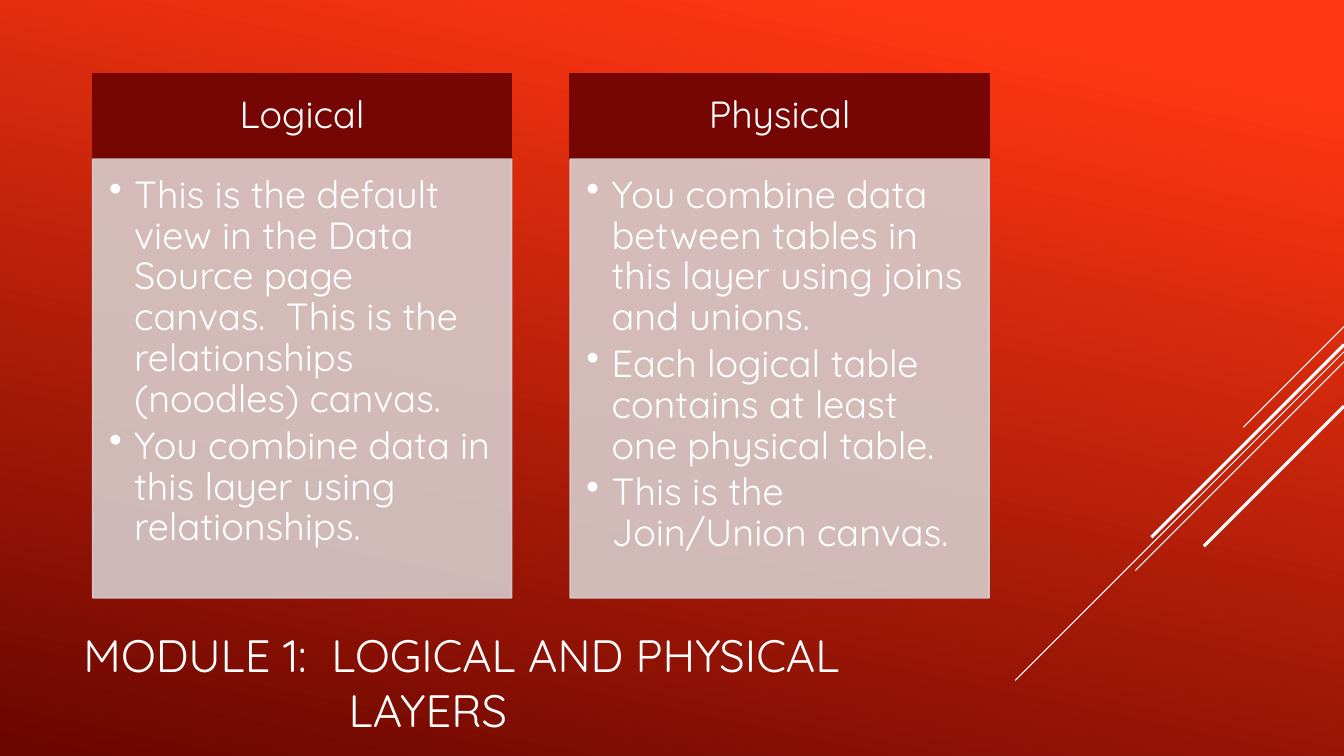
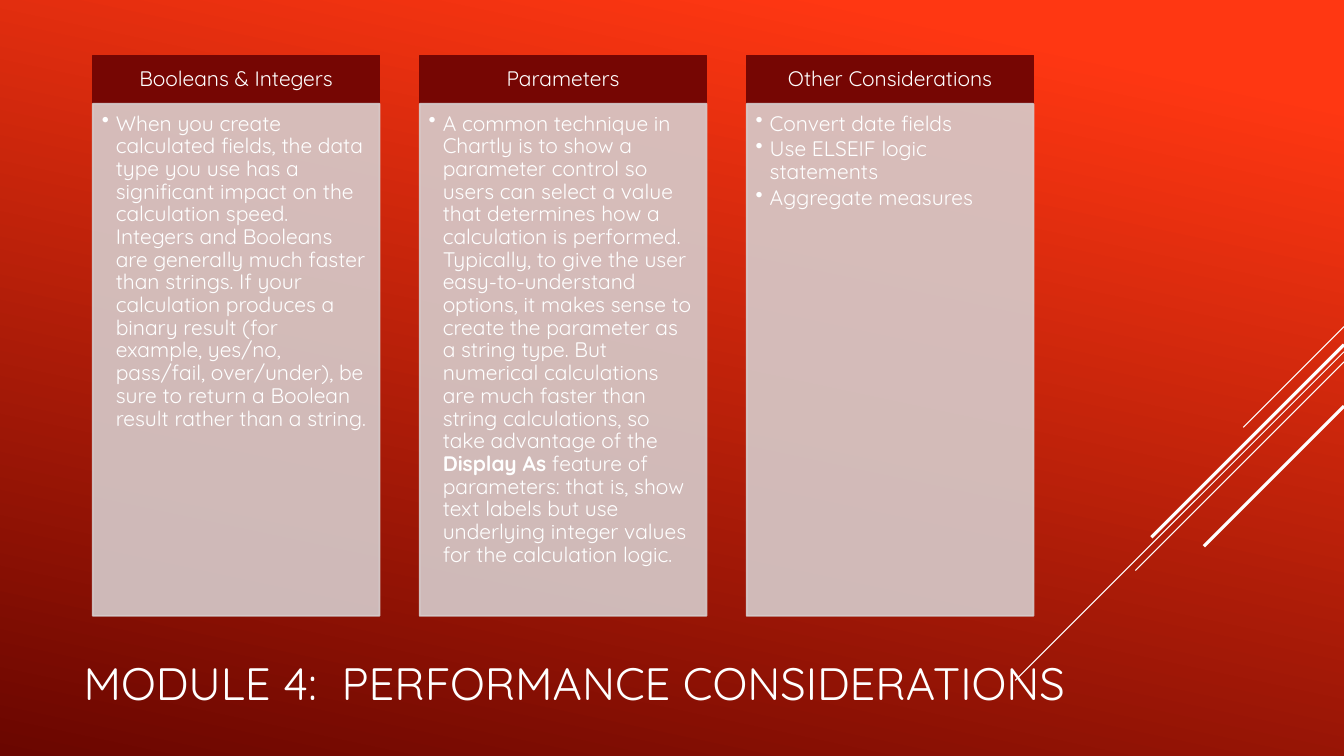
from pptx import Presentation
from pptx.dml.color import RGBColor
from pptx.enum.shapes import MSO_CONNECTOR, MSO_SHAPE
from pptx.enum.text import MSO_ANCHOR as ANCHOR, PP_ALIGN as ALIGN
from pptx.oxml.ns import qn
from pptx.util import Inches, Pt
from lxml.etree import SubElement

FONT = "Quicksand"
WHITE = RGBColor(0xFF, 0xFF, 0xFF)
BRIGHT = RGBColor(0xFF, 0x37, 0x12)
DEEP = RGBColor(0x6A, 0x06, 0x00)
MAROON = RGBColor(0x76, 0x06, 0x03)
PALE = RGBColor(0xD6, 0xCC, 0xCC)

SLIDE_W, SLIDE_H = 13.33, 7.5
LEFT = 0.92
GAP_RATIO = 0.14
STREAKS = [(3.24, 1.0, 0.75), (3.49, 3.26, 0.75), (3.59, 2.07, 0.75),
           (3.42, 1.91, 2.25), (4.03, 1.39, 2.25)]

SLIDES = [
    dict(
        title="MODULE 1:  LOGICAL AND PHYSICAL LAYERS", title_w=9.33,
        box=(LEFT, 0.73, 8.89, 5.2), head_h=0.85, size=27,
        columns=[
            ("Logical", [
                "This is the default view in the Data Source page canvas.  "
                "This is the relationships (noodles) canvas.",
                "You combine data in this layer using relationships."]),
            ("Physical", [
                "You combine data between tables in this layer using joins and unions.",
                "Each logical table contains at least one physical table.",
                "This is the Join/Union canvas."]),
        ]),
    dict(
        title="MODULE 4:  PERFORMANCE CONSIDERATIONS", title_w=10.21,
        box=(LEFT, 0.55, 9.33, 5.56), head_h=0.48, size=15,
        columns=[
            ("Booleans & Integers", [
                "When you create calculated fields, the data type you use has a "
                "significant impact on the calculation speed. Integers and Booleans "
                "are generally much faster than strings. If your calculation produces "
                "a binary result (for example, yes/no, pass/fail, over/under), be sure "
                "to return a Boolean result rather than a string."]),
            ("Parameters", [
                "A common technique in Chartly is to show a parameter control so users "
                "can select a value that determines how a calculation is performed. "
                "Typically, to give the user easy-to-understand options, it makes sense "
                "to create the parameter as a string type. But numerical calculations "
                "are much faster than string calculations, so take advantage of the "
                "**Display As** feature of parameters: that is, show text labels but "
                "use underlying integer values for the calculation logic."]),
            ("Other Considerations", [
                "Convert date fields",
                "Use ELSEIF logic statements",
                "Aggregate measures"]),
        ]),
]


def write(sp, paragraphs, size, align=ALIGN.LEFT, anchor=ANCHOR.TOP, insets=None,
          hang=0, bullet=False, line_spacing=None, space_after=0):
    tf = sp.text_frame
    tf.word_wrap = True
    tf.vertical_anchor = anchor
    if insets:
        (tf.margin_left, tf.margin_top,
         tf.margin_right, tf.margin_bottom) = [Inches(v) for v in insets]
    for i, text in enumerate(paragraphs):
        p = tf.add_paragraph() if i else tf.paragraphs[0]
        pPr = p._p.get_or_add_pPr()
        if hang:
            pPr.set("marL", str(Inches(hang)))
            pPr.set("indent", str(-Inches(hang)))
        if bullet:
            SubElement(pPr, qn("a:buChar")).set("char", "•")
        p.alignment = align
        p.line_spacing = line_spacing
        p.space_after = Pt(space_after)
        for n, part in enumerate(text.split("**")):
            r = p.add_run()
            r.text = part
            r.font.name, r.font.size = FONT, Pt(size)
            r.font.bold = n % 2 == 1
            r.font.color.rgb = WHITE


def add_panel(slide, box, color, opacity=100):
    sp = slide.shapes.add_shape(MSO_SHAPE.RECTANGLE, *[Inches(v) for v in box])
    sp.shadow.inherit = False
    sp.line.width = Pt(1.25)
    for fill in (sp.fill, sp.line.fill):
        fill.solid()
        fill.fore_color.rgb = color
    if opacity < 100:
        for clr in sp._element.spPr.iter(qn("a:srgbClr")):
            SubElement(clr, qn("a:alpha")).set("val", str(opacity * 1000))
    return sp


def add_background(slide):
    fill = slide.background.fill
    fill.gradient()
    fill.gradient_angle = 360 - 102
    for stop, position, color in zip(fill.gradient_stops, (0.1, 1), (BRIGHT, DEEP)):
        stop.position = position
        stop.color.rgb = color


def add_streaks(slide):
    for top, run, weight in STREAKS:
        ends = (SLIDE_W, top, SLIDE_W - run, top + run)
        line = slide.shapes.add_connector(MSO_CONNECTOR.STRAIGHT, *[Inches(v) for v in ends])
        line.line.color.rgb = WHITE
        line.line.width = Pt(weight)
        SubElement(line._element.spPr, qn("a:effectLst"))


def add_title(slide, text, width):
    sp = slide.shapes.add_textbox(Inches(0.73), Inches(6.29), Inches(width), Inches(0.95))
    write(sp, [text], 32.4, anchor=ANCHOR.MIDDLE, hang=2.63)


def add_column(slide, box, head_h, heading, points, size):
    left, top, width, height = box
    em = size / 72
    head = add_panel(slide, (left, top, width, head_h), MAROON)
    write(head, [heading], size, align=ALIGN.CENTER, anchor=ANCHOR.MIDDLE,
          insets=[k * em for k in (0.56, 0.32, 0.56, 0.32)], line_spacing=0.9)
    body = add_panel(slide, (left, top + head_h, width, height - head_h), PALE, opacity=90)
    write(body, points, size, insets=[k * em for k in (0.43, 0.43, 0.56, 0.64)],
          hang=em * 2 / 3, bullet=True, line_spacing=0.9, space_after=size * 0.15)


def add_columns(slide, box, head_h, columns, size):
    left, top, total, height = box
    n = len(columns)
    width = total / (n + GAP_RATIO * (n - 1))
    for i, (heading, points) in enumerate(columns):
        x = left + i * width * (1 + GAP_RATIO)
        add_column(slide, (x, top, width, height), head_h, heading, points, size)


def add_module_slide(prs, title, title_w, box, head_h, size, columns):
    slide = prs.slides.add_slide(prs.slide_layouts[6])
    add_background(slide)
    add_streaks(slide)
    add_title(slide, title, title_w)
    add_columns(slide, box, head_h, columns, size)


def main():
    prs = Presentation()
    prs.slide_width, prs.slide_height = Inches(SLIDE_W), Inches(SLIDE_H)
    for content in SLIDES:
        add_module_slide(prs, **content)
    prs.save("out.pptx")


if __name__ == "__main__":
    main()
